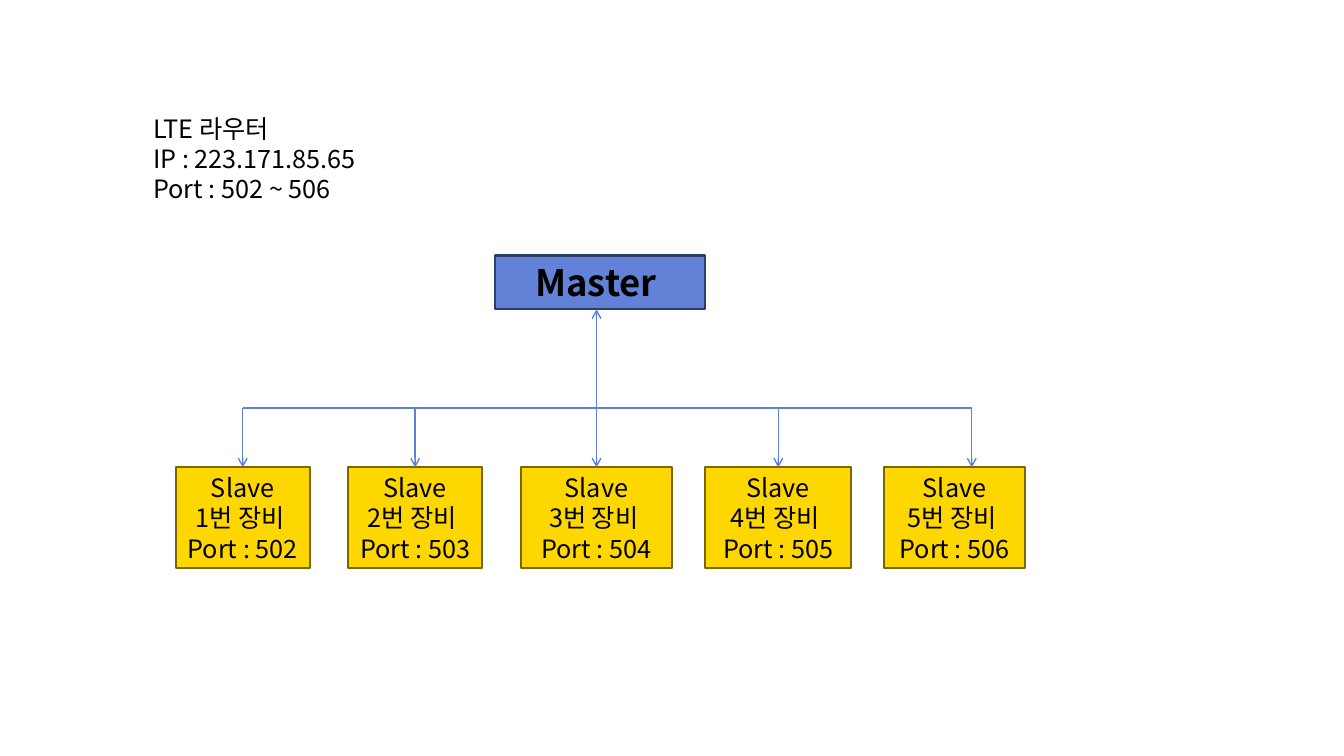
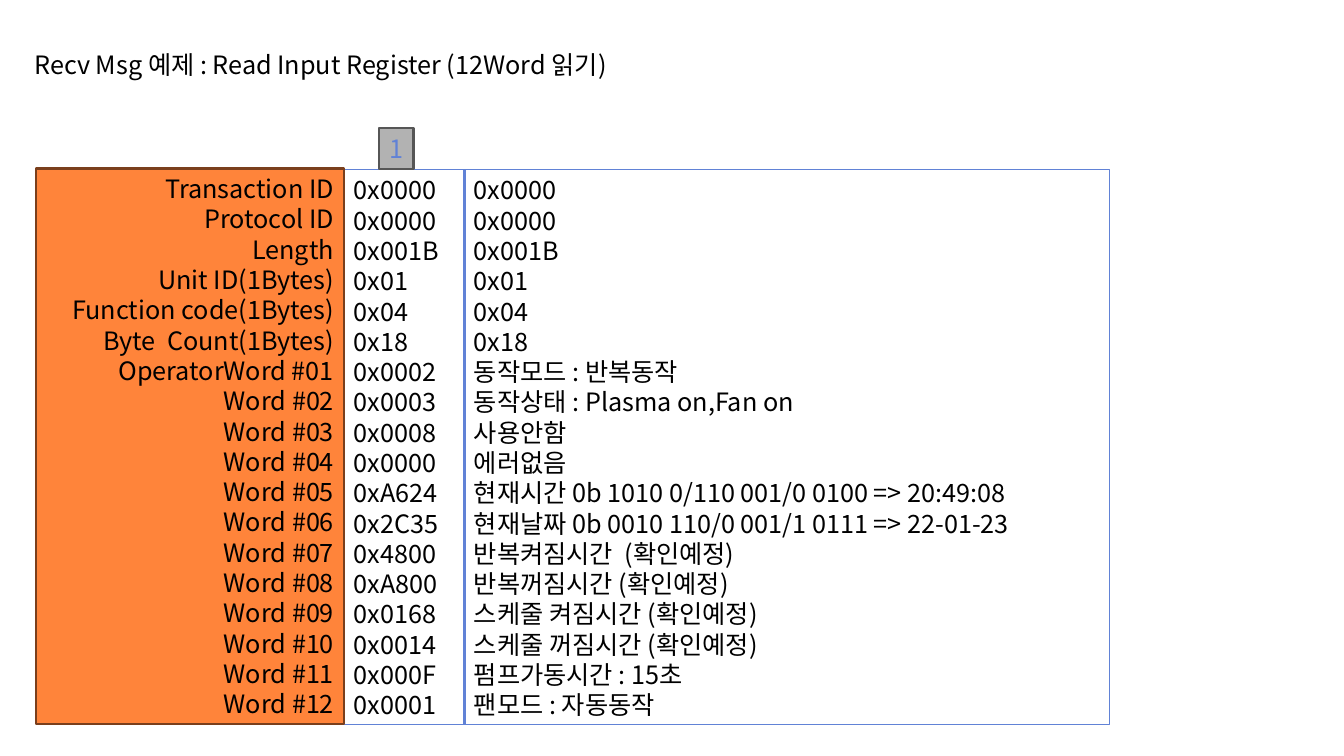
from dataclasses import dataclass

from lxml import etree
from pptx import Presentation
from pptx.dml.color import RGBColor
from pptx.enum.shapes import MSO_CONNECTOR, MSO_SHAPE
from pptx.enum.text import MSO_ANCHOR, MSO_AUTO_SIZE, PP_ALIGN
from pptx.oxml.ns import qn
from pptx.util import Cm, Pt

RECT = MSO_SHAPE.RECTANGLE
LINE = MSO_CONNECTOR.STRAIGHT
LEFT, MID, RIGHT = PP_ALIGN.LEFT, PP_ALIGN.CENTER, PP_ALIGN.RIGHT
TITLE_ONLY, BLANK = 5, 6
TOP_SIDE = 0

# Content
ROUTER = ["LTE 라우터", "IP : 223.171.85.65", "Port : 502 ~ 506"]
MASTER = ["Master "]
FIRST_PORT = 502
SLAVES = [  # left, width, arrow offset from centre (cm)
    (4.42, 3.38, 0),
    (8.76, 3.38, 0),
    (13.11, 3.81, 0),
    (17.75, 3.68, 0),
    (22.25, 3.56, 0.43),
]
TITLE = "Recv Msg 예제 : Read Input Register (12Word 읽기)"
FIELDS = [  # label, value, meaning
    ("Transaction ID", "0x0000", "0x0000"),
    ("Protocol ID", "0x0000", "0x0000"),
    ("Length", "0x001B", "0x001B"),
    ("Unit ID(1Bytes)", "0x01", "0x01"),
    ("Function code(1Bytes)", "0x04", "0x04"),
    ("Byte  Count(1Bytes)", "0x18", "0x18"),
    ("OperatorWord #01", "0x0002", "동작모드 : 반복동작"),
    ("Word #02", "0x0003", "동작상태 : Plasma on,Fan on"),
    ("Word #03", "0x0008", "사용안함"),
    ("Word #04", "0x0000", "에러없음"),
    ("Word #05", "0xA624", "현재시간 0b 1010 0/110 001/0 0100 => 20:49:08"),
    ("Word #06", "0x2C35", "현재날짜 0b 0010 110/0 001/1 0111 => 22-01-23"),
    ("Word #07", "0x4800", "반복켜짐시간  (확인예정)"),
    ("Word #08", "0xA800", "반복꺼짐시간 (확인예정)"),
    ("Word #09", "0x0168", "스케줄 켜짐시간 (확인예정)"),
    ("Word #10", "0x0014", "스케줄 꺼짐시간 (확인예정)"),
    ("Word #11", "0x000F", "펌프가동시간 : 15초"),
    ("Word #12", "0x0001", "팬모드 : 자동동작"),
]


@dataclass(frozen=True)
class Theme:
    font: str = "Noto Sans CJK KR"
    ink: str = "000000"
    blue: str = "6182D6"
    wire: str = "5E81D9"
    body: int = 18
    head: int = 26
    lead: float = 1.2
    edge: float = 1.5
    thin: float = 0.77


T = Theme()
# Box styles: fill, line colour, line width
GOLD = ("FFD700", "7A6700", T.edge)
BLUE = (T.blue, "2E3E67", T.edge)
ORANGE = ("FF843A", "7A3F1C", T.edge)
GREY = ("B2B2B2", "565656", T.edge)
PLAIN = (None, T.blue, T.thin)


def rgb(code):
    return RGBColor.from_string(code)


def assign(item, **vals):
    for name, val in vals.items():
        setattr(item, name, val)


def write(shape, lines, align=LEFT, size=T.body, ink=T.ink, bold=False, wrap=True):
    frame = shape.text_frame
    assign(frame, word_wrap=wrap, auto_size=MSO_AUTO_SIZE.NONE,
           vertical_anchor=MSO_ANCHOR.TOP)
    for i, line in enumerate(lines):
        para = frame.add_paragraph() if i else frame.paragraphs[0]
        assign(para, alignment=align, line_spacing=Pt(size * T.lead))
        run = para.add_run()
        run.text = line
        assign(run.font, name=T.font, size=Pt(size), bold=bold)
        run.font.color.rgb = rgb(ink)
        # East Asian glyphs use the same face
        east = etree.Element(qn("a:ea"), typeface=T.font)
        run.font._element.find(qn("a:latin")).addnext(east)


def box(slide, place, look, lines, **text):
    shape = slide.shapes.add_shape(RECT, *map(Cm, place))
    shape.shadow.inherit = False
    fill, edge, width = look
    if fill:
        shape.fill.solid()
        shape.fill.fore_color.rgb = rgb(fill)
    else:
        shape.fill.background()
    shape.line.color.rgb = rgb(edge)
    shape.line.width = Pt(width)
    write(shape, lines, **text)
    return shape


def wire(slide, start, end, tip=None):
    link = slide.shapes.add_connector(LINE, *start, *end)
    link.line.color.rgb = rgb(T.wire)
    link.line.width = Pt(1)
    if tip:
        etree.SubElement(link.line._get_or_add_ln(), qn(f"a:{tip}"), type="arrow")
    etree.SubElement(link._element.spPr, qn("a:effectLst"))
    return link


def network(slide):
    note = slide.shapes.add_textbox(Cm(3.61), Cm(2.72), Cm(5.74), Cm(2.54))
    write(note, ROUTER)

    # Slaves, each with an arrow from the bus
    bus, drops = Cm(10.26), []
    for i, (left, width, shift) in enumerate(SLAVES):
        lines = ["Slave", f"{i + 1}번 장비 ", f"Port : {FIRST_PORT + i}"]
        node = box(slide, (left, 11.76, width, 2.54), GOLD, lines,
                   align=MID, wrap=False)
        x = node.left + node.width // 2 + Cm(shift)
        drop = wire(slide, (x, bus), (x, node.top), "tailEnd")
        if not shift:
            drop.end_connect(node, TOP_SIDE)
        drops.append(x)

    # Master, its stem and the bus
    top = box(slide, (12.47, 6.43, 5.28, 1.35), BLUE, MASTER,
              align=MID, size=T.head, bold=True)
    stem = drops[len(drops) // 2]
    wire(slide, (stem, top.top + top.height), (stem, bus), "headEnd")
    wire(slide, (drops[0], bus), (drops[-1], bus))


def message(slide):
    title = slide.shapes.title
    assign(title, left=Cm(0.61), top=Cm(1.12), width=Cm(15.88), height=Cm(1.02))
    write(title, [TITLE], wrap=False)

    # Columns of the message; the label column overlaps its neighbour
    labels, values, notes = zip(*FIELDS)
    tall = 13.97
    box(slide, (8.66, 4.27, 3.05, tall), PLAIN, values)
    box(slide, (0.91, 4.24, 7.75, tall), ORANGE, labels, align=RIGHT)
    box(slide, (9.55, 3.23, 0.86, 1.02), GREY, ["1"], ink=T.blue, wrap=False)
    box(slide, (11.68, 4.27, 16.26, tall), PLAIN, notes)


def main():
    deck = Presentation()
    assign(deck, slide_width=Cm(33.83), slide_height=Cm(19.02))
    for layout, draw in ((BLANK, network), (TITLE_ONLY, message)):
        draw(deck.slides.add_slide(deck.slide_layouts[layout]))
    deck.save("out.pptx")


if __name__ == "__main__":
    main()
